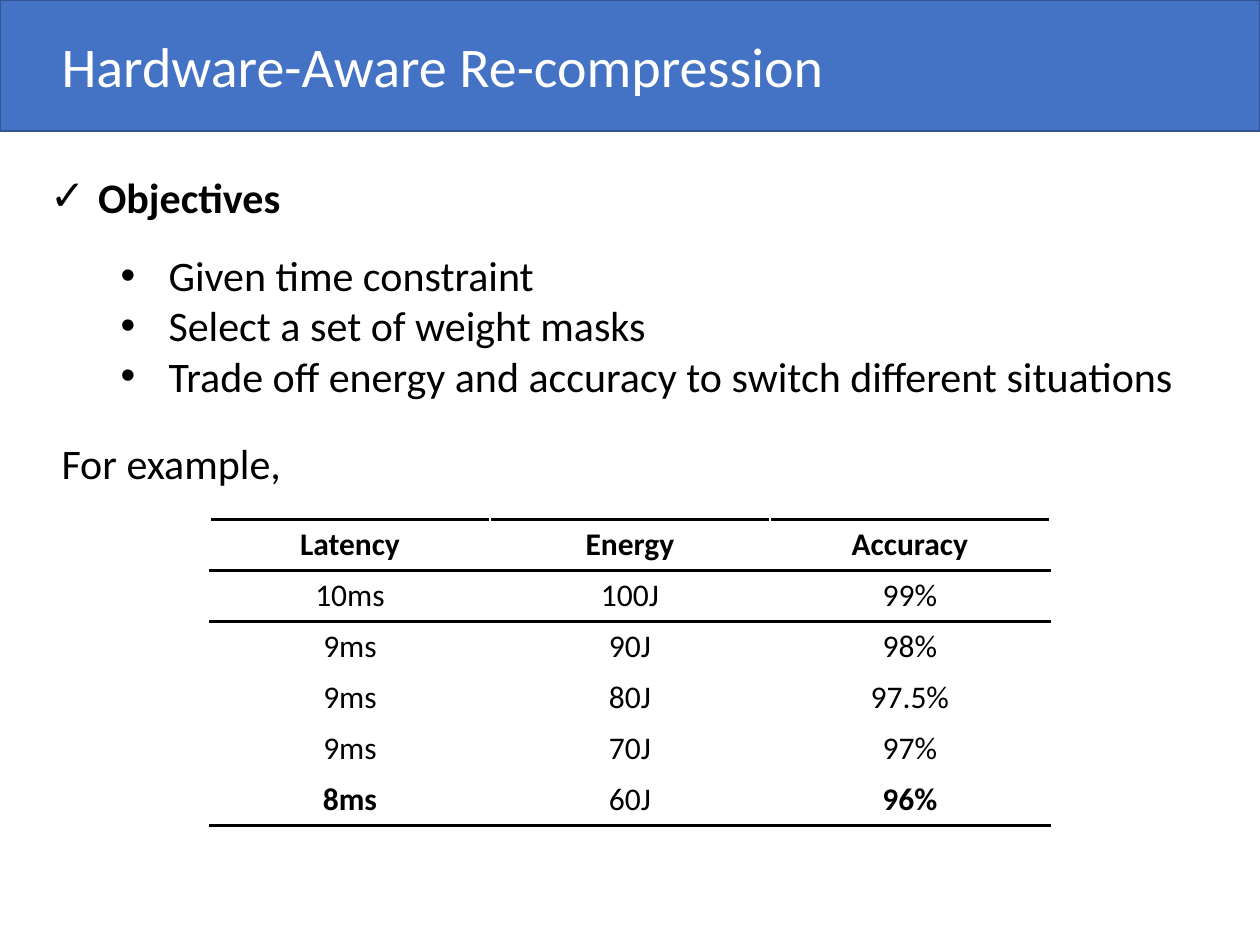
import pptx
import pptx.util
import pptx.dml.color
import pptx.enum.shapes
import pptx.enum.text
import pptx.oxml
import pptx.oxml.ns

COLORS = {"banner": "4472C4", "edge": "325491", "paper": "FFFFFF", "ink": "000000"}
COLUMNS, ROWS = 100, 75


class Board:
    font = "Calibri"
    indent = pptx.util.Inches(0.38)

    def __init__(self, deck):
        self.page = deck.slides.add_slide(deck.slide_layouts[6])
        self.column = deck.slide_width / COLUMNS
        self.row = deck.slide_height / ROWS

    def place(self, left, top, width, height):
        return (round(left * self.column), round(top * self.row),
                round(width * self.column), round(height * self.row))

    def color(self, name):
        return pptx.dml.color.RGBColor.from_string(COLORS[name])

    def add_span(self, para, text, size, color="ink", bold=False):
        span = para.add_run()
        span.text = text
        span.font.name = self.font
        span.font.size = pptx.util.Pt(size)
        span.font.bold = bold
        span.font.color.rgb = self.color(color)

    def bullet(self, para, mark):
        props = para._p.get_or_add_pPr()
        props.set("marL", str(self.indent))
        props.set("indent", str(-self.indent))
        namespace = pptx.oxml.ns.nsdecls("a")
        props.append(pptx.oxml.parse_xml(f'<a:buFont {namespace} typeface="Arial"/>'))
        props.append(pptx.oxml.parse_xml(f'<a:buChar {namespace} char="{mark}"/>'))

    def banner(self, *area):
        shape = self.page.shapes.add_shape(
            pptx.enum.shapes.MSO_SHAPE.RECTANGLE, *self.place(*area))
        shape.shadow.inherit = False
        shape.fill.solid()
        shape.fill.fore_color.rgb = self.color("banner")
        shape.line.color.rgb = self.color("edge")
        shape.line.width = pptx.util.Pt(1)

    def text(self, area, lines, size=24, mark=None, wrap=False, **style):
        box = self.page.shapes.add_textbox(*self.place(*area))
        frame = box.text_frame
        frame.word_wrap = wrap
        frame.auto_size = pptx.enum.text.MSO_AUTO_SIZE.SHAPE_TO_FIT_TEXT
        for number, line in enumerate(lines):
            para = frame.add_paragraph() if number else frame.paragraphs[0]
            if mark:
                self.bullet(para, mark)
            self.add_span(para, line, size, **style)

    def rule(self, cell, sides):
        props = cell._tc.get_or_add_tcPr()
        for position, side in enumerate(sides):
            props.insert(position, pptx.oxml.parse_xml(
                f'<a:ln{side} {pptx.oxml.ns.nsdecls("a")} w="{pptx.util.Pt(2)}">'
                f'<a:solidFill><a:srgbClr val="{COLORS["ink"]}"/></a:solidFill>'
                f'</a:ln{side}>'))

    def table(self, area, records, bold_cells, rules):
        grid = self.page.shapes.add_table(
            len(records), len(records[0]), *self.place(*area)).table
        grid.first_row = False
        grid.horz_banding = False
        for r, record in enumerate(records):
            for c, value in enumerate(record):
                cell = grid.cell(r, c)
                cell.fill.solid()
                cell.fill.fore_color.rgb = self.color("paper")
                para = cell.text_frame.paragraphs[0]
                para.alignment = pptx.enum.text.PP_ALIGN.CENTER
                self.add_span(para, value, 18, bold=(r, c) in bold_cells)
                self.rule(cell, rules.get(r, ""))


deck = pptx.Presentation()
deck.slide_width = pptx.util.Inches(10)
deck.slide_height = pptx.util.Inches(7.5)

board = Board(deck)
board.banner(0, 0, COLUMNS, 10.4)
board.text((3.9, 2, 63, 6.4), ["Hardware-Aware Re-compression"], size=32, color="paper")
board.text((3, 13.1, 20.5, 5), ["Objectives"], mark="✓", bold=True)
board.text((8.6, 19.3, 91.4, 13.1), [
    "Given time constraint",
    "Select a set of weight masks ",
    "Trade off energy and accuracy to switch different situations",
], mark="•", wrap=True)
board.text((3.9, 34.2, 20.4, 5), ["For example, "])

records = [
    ("Latency", "Energy", "Accuracy"),
    ("10ms", "100J", "99%"),
    ("9ms", "90J", "98%"),
    ("9ms", "80J", "97.5%"),
    ("9ms", "70J", "97%"),
    ("8ms", "60J", "96%"),
]
last = len(records) - 1
board.table(
    (COLUMNS / 6, 41.2, COLUMNS * 2 / 3, 24.3), records,
    bold_cells={(0, 0), (0, 1), (0, 2), (last, 0), (last, 2)},
    rules={0: "TB", 1: "T", last: "B"})

deck.save("out.pptx")
